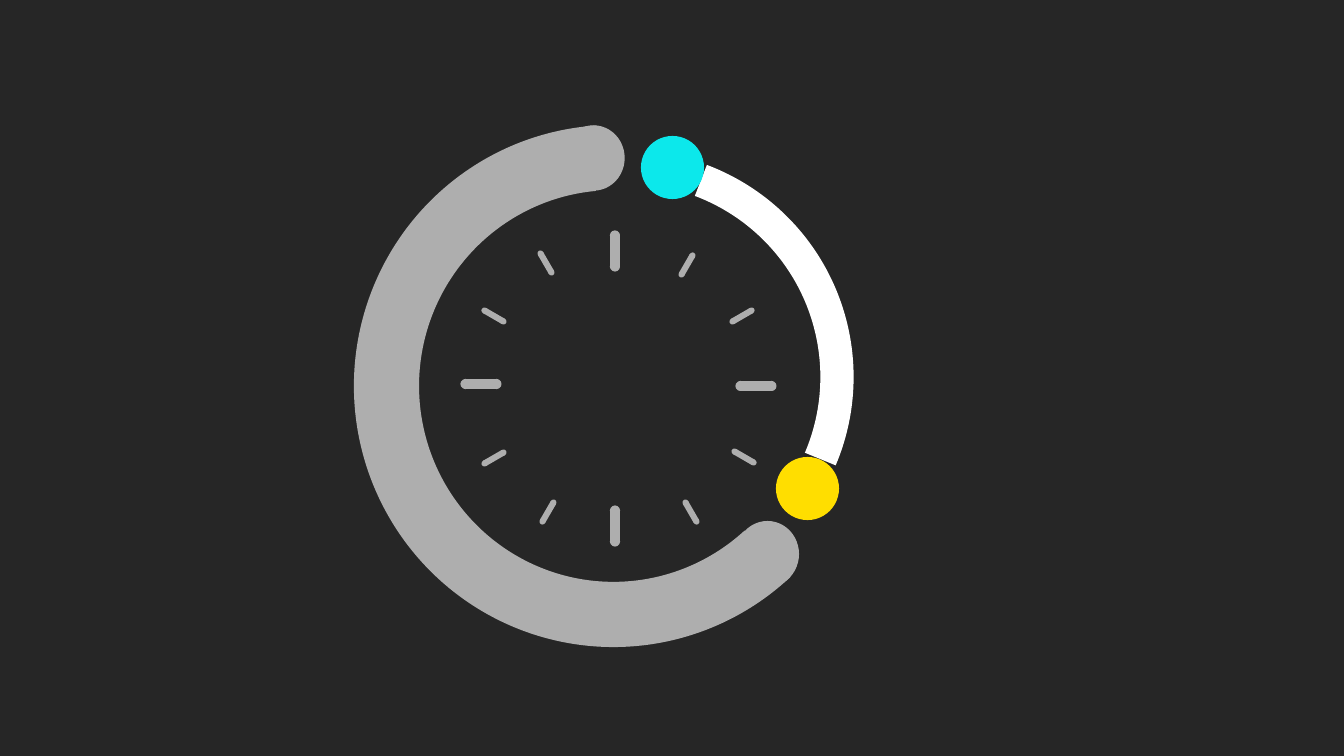
import math

import pptx
import pptx.dml.color
import pptx.enum.shapes
import pptx.util

PX = 914400 / 100.8
SHAPE = pptx.enum.shapes.MSO_SHAPE

DARK = pptx.dml.color.RGBColor(0x26, 0x26, 0x26)
GRAY = pptx.dml.color.RGBColor(0xAE, 0xAE, 0xAE)
WHITE = pptx.dml.color.RGBColor(0xFF, 0xFF, 0xFF)
CYAN = pptx.dml.color.RGBColor(0x0C, 0xE8, 0xEB)
YELLOW = pptx.dml.color.RGBColor(0xFF, 0xDE, 0x00)

# Tick centres by hour, in px
TICKS = {
    12: (615, 251), 3: (756, 386), 6: (615, 526), 9: (481, 384),
    1: (687, 265), 2: (742, 316), 4: (744, 457), 5: (691, 512),
    7: (548, 512), 8: (494, 458), 10: (494, 316), 11: (546, 263),
}


def px(n):
    return pptx.util.Emu(round(n * PX))


def add_shape(group, kind, x, y, w, h, color, line=1.5, rotation=0):
    """Add a shape whose fill and outline share one colour."""
    sp = group.shapes.add_shape(kind, px(x), px(y), px(w), px(h))
    sp.shadow.inherit = False
    sp.rotation = rotation
    sp.fill.solid()
    sp.fill.fore_color.rgb = color
    sp.line.color.rgb = color
    sp.line.width = pptx.util.Pt(line)
    return sp


def add_arc(group, x, y, size, start, end, color, line):
    """Add an open circular arc; angles are in degrees, clockwise from the right."""
    sp = add_shape(group, SHAPE.ARC, x, y, size, size, color, line)
    sp.fill.background()
    for i, angle in enumerate((start, end)):
        sp.adjustments[i] = angle * 0.6


def add_tick(group, hour):
    """Add a bar with a round cap at each end, pointing to its hour."""
    cx, cy = TICKS[hour]
    w, length, cap = (8, 31, 8) if hour % 3 == 0 else (4, 21, 5)
    rotation = hour * 30 % 360
    add_shape(group, SHAPE.RECTANGLE, cx - w / 2, cy - length / 2, w, length,
              GRAY, rotation=rotation)
    dx = length / 2 * math.sin(math.radians(rotation))
    dy = -length / 2 * math.cos(math.radians(rotation))
    for side in (1, -1):
        add_shape(group, SHAPE.OVAL, cx + side * dx - w / 2,
                  cy + side * dy - cap / 2, w, cap, GRAY, rotation=rotation)


def add_ring(group):
    ring = add_shape(group, SHAPE.DONUT, 355, 126, 517, 520, GRAY)
    ring.adjustments[0] = 0.122
    add_shape(group, SHAPE.RECTANGLE, 597, 110, 392, 399, DARK)
    add_shape(group, SHAPE.OVAL, 563, 126, 61, 64, GRAY, line=1)
    add_shape(group, SHAPE.RECTANGLE, 748, 467, 93, 93, DARK, rotation=45.3)
    add_shape(group, SHAPE.OVAL, 737, 522, 61, 64, GRAY)
    add_arc(group, 417, 167, 420, 290.6, 23, WHITE, 23.75)
    for x, y, color in ((642, 137, CYAN), (777, 458, YELLOW)):
        add_shape(group, SHAPE.OVAL, x, y, 61, 61, color)


def main():
    prs = pptx.Presentation()
    prs.slide_width, prs.slide_height = px(1344), px(756)
    s = prs.slides.add_slide(prs.slide_layouts[6])
    s.background.fill.solid()
    s.background.fill.fore_color.rgb = DARK

    add_ring(s.shapes.add_group_shape())
    dial = s.shapes.add_group_shape()
    for hour in TICKS:
        add_tick(dial, hour)

    prs.save("out.pptx")


if __name__ == "__main__":
    main()
